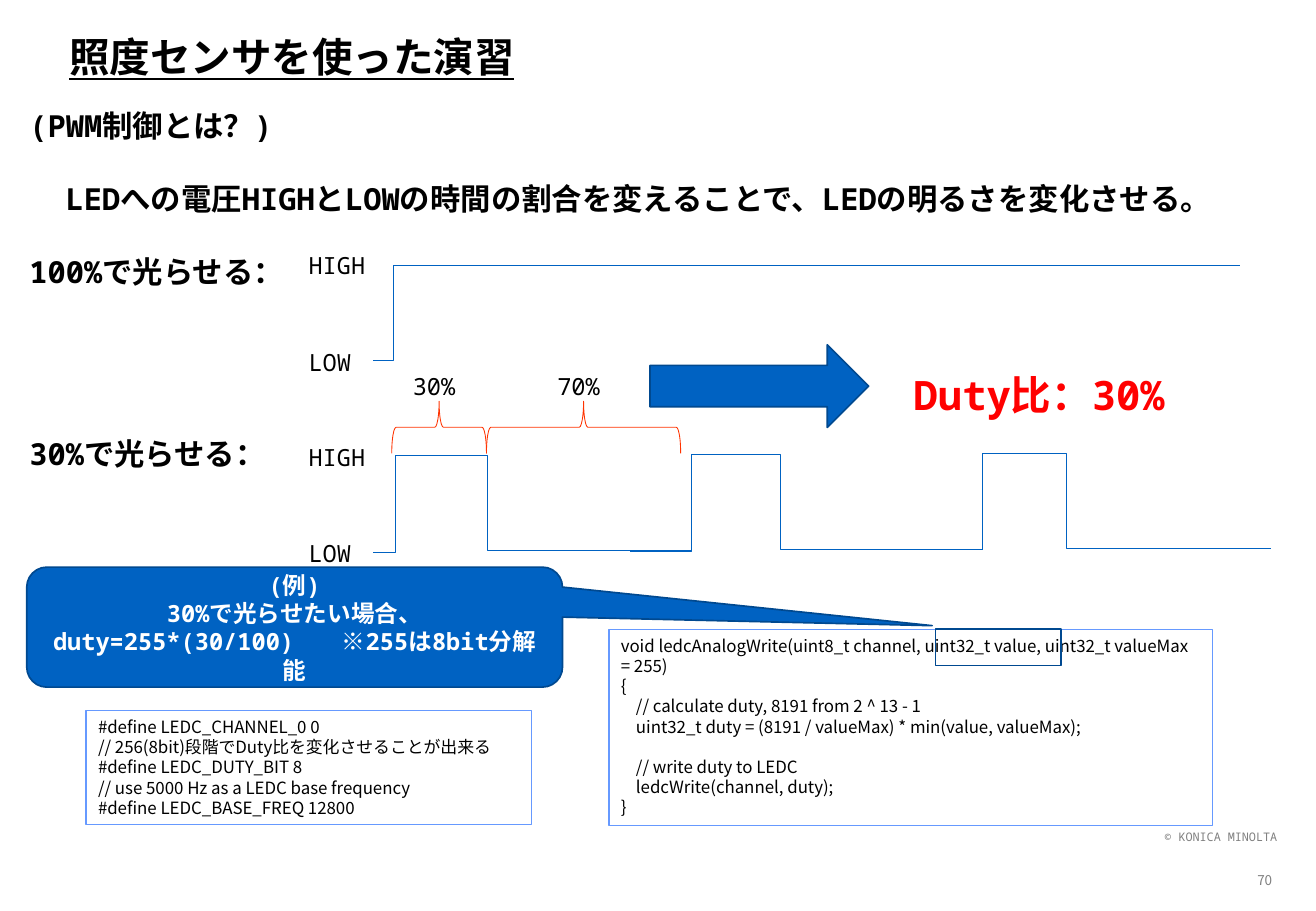
from lxml.etree import SubElement
from pptx import Presentation
from pptx.dml.color import RGBColor
from pptx.enum.shapes import MSO_CONNECTOR, MSO_SHAPE
from pptx.enum.text import MSO_ANCHOR, MSO_AUTO_SIZE, PP_ALIGN
from pptx.oxml.ns import qn
from pptx.util import Cm, Pt

BLACK = RGBColor(0x00, 0x00, 0x00)
WHITE = RGBColor(0xFF, 0xFF, 0xFF)
GREY = RGBColor(0x80, 0x80, 0x80)
RED = RGBColor(0xFF, 0x00, 0x00)
BRACE_RED = RGBColor(0xFF, 0x33, 0x00)
BLUE = RGBColor(0x00, 0x62, 0xC2)
DARK_BLUE = RGBColor(0x00, 0x49, 0x90)
FRAME_BLUE = RGBColor(0x66, 0x99, 0xFF)
MONO = "Noto Sans Mono"
SANS = "Noto Sans CJK JP"
LINE_FACTOR = 1.2


def write(holder, lines, size, color=BLACK, name=MONO, bold=False,
          align=PP_ALIGN.LEFT, anchor=MSO_ANCHOR.TOP, gaps=None):
    """Fill a shape with paragraphs; gaps maps a line index to empty lines before it."""
    frame = holder.text_frame
    frame.word_wrap = True
    frame.auto_size = MSO_AUTO_SIZE.NONE
    frame.vertical_anchor = anchor
    for index, line in enumerate(lines):
        paragraph = frame.paragraphs[0] if index == 0 else frame.add_paragraph()
        paragraph.add_run().text = line
        paragraph.alignment = align
        paragraph.line_spacing = Pt(size * LINE_FACTOR)
        paragraph.space_before = Pt((gaps or {}).get(index, 0) * size * LINE_FACTOR)
        properties = paragraph._p.get_or_add_pPr()
        properties.set("marL", "0")
        properties.set("indent", "0")
        SubElement(properties, qn("a:buNone"))
        font = paragraph.font
        font.size, font.bold, font.name = Pt(size), bold, name
        font.color.rgb = color
        SubElement(properties.find(qn("a:defRPr")), qn("a:ea"), typeface=SANS)
    return frame.paragraphs


def place(holder, left, top, width, height):
    holder.left, holder.top = Cm(left), Cm(top)
    holder.width, holder.height = Cm(width), Cm(height)


def label(slide, box, text, size=14, **style):
    holder = slide.shapes.add_textbox(*map(Cm, box))
    write(holder, [text], size, **style)


def outline(slide, kind, box, color, weight, fill=None):
    shape = slide.shapes.add_shape(kind, *map(Cm, box))
    shape.shadow.inherit = False
    shape.line.color.rgb = color
    shape.line.width = Pt(weight)
    if fill is None:
        shape.fill.background()
    else:
        shape.fill.solid()
        shape.fill.fore_color.rgb = fill
    return shape


def edge(slide, start, end, step_x):
    """Signal edge: an elbow line that changes level at step_x."""
    line = slide.shapes.add_connector(
        MSO_CONNECTOR.ELBOW, *map(Cm, start), *map(Cm, end))
    line.line.color.rgb = BLUE
    line.line.width = Pt(0.5)
    SubElement(line._element.spPr, qn("a:effectLst"))
    ratio = (step_x - start[0]) / (end[0] - start[0])
    guides = line._element.spPr.find(qn("a:prstGeom")).get_or_add_avLst()
    SubElement(guides, qn("a:gd"), name="adj1", fmla=f"val {round(ratio * 100000)}")


def heading(slide, box):
    title = slide.shapes.title
    place(title, *box)
    paragraph, = write(title, ["照度センサを使った演習"], 24, bold=True,
                       anchor=MSO_ANCHOR.MIDDLE)
    paragraph.font.underline = True


def explanation(slide, box):
    body = slide.placeholders[1]
    place(body, *box)
    lines = write(body, [
        "(PWM制御とは？)",
        "LEDへの電圧HIGHとLOWの時間の割合を変えることで、LEDの明るさを変化させる。",
        "100%で光らせる：",
        "30%で光らせる：",
    ], 18, bold=True, gaps={1: 1, 2: 1, 3: 4})
    lines[1]._p.pPr.set("marL", str(Cm(0.76)))


def level_labels(slide, left, top):
    for row, level in enumerate(("HIGH", "LOW")):
        label(slide, (left, top + row * 2.02, 2.24, 0.86), level)


def full_signal(slide, box):
    left, top, width, height = box
    level_labels(slide, left, top)
    edge(slide, (left + 1.6, top + height), (left + width, top + 0.43), left + 2.02)


def pulsed_signal(slide, box):
    left, top, width, height = box
    level_labels(slide, left, top)
    # (rise start, rise, rise end, fall start, fall, fall end)
    pulses = [
        (1.6, 2.06, 3.88, 2.28, 3.99, 8.25),
        (6.98, 8.25, 9.88, 8.4, 10.11, 14.35),
        (13.08, 14.35, 15.97, 14.4, 16.1, width),
    ]
    for index, pulse in enumerate(pulses):
        high, low = top + 0.4 - index * 0.02, top + height - index * 0.03
        rise_from, rise, rise_to, fall_from, fall, fall_to = (left + x for x in pulse)
        edge(slide, (rise_from, low), (rise_to, high), rise)
        edge(slide, (fall_from, high), (fall_to, low - 0.04), fall)


def duty_braces(slide, box):
    left, top, width, height = box
    brace_height = 1.09
    on_width = 1.98
    parts = [("30%", left, on_width), ("70%", left + on_width, width - on_width)]
    for share, part_left, part_width in parts:
        middle_x = part_left + part_width / 2
        middle_y = top + height - brace_height / 2
        brace = outline(slide, MSO_SHAPE.RIGHT_BRACE,
                        (middle_x - brace_height / 2, middle_y - part_width / 2,
                         brace_height, part_width), BRACE_RED, 0.5)
        brace.rotation = 270
        label(slide, (middle_x - 0.8, top, 2.24, 0.86), share)


def duty_result(slide, box):
    left, top, width, height = box
    outline(slide, MSO_SHAPE.RIGHT_ARROW, (left, top, 4.57, height), DARK_BLUE, 1, BLUE)
    label(slide, (left + 5.26, top + 0.41, width - 5.26, 1.27), "Duty比：30%", 24,
          color=RED, bold=True)


def code_box(slide, box, lines, gaps=None):
    frame = outline(slide, MSO_SHAPE.RECTANGLE, box, FRAME_BLUE, 0.75, WHITE)
    write(frame, lines, 10, name=SANS, gaps=gaps)


def example_callout(slide, box):
    callout = outline(slide, MSO_SHAPE.ROUNDED_RECTANGULAR_CALLOUT, box,
                      DARK_BLUE, 1, BLUE)
    for index, value in enumerate((1.19, -0.012, 0.167)):
        callout.adjustments[index] = value
    formula = write(callout, ["(例)", "30%で光らせたい場合、", "duty=255*(30/100)"], 14,
                    color=WHITE, bold=True, align=PP_ALIGN.CENTER,
                    anchor=MSO_ANCHOR.MIDDLE)[-1]
    # One widened space separates the formula from its remark
    gap = formula.add_run()
    gap.text = "　"
    gap._r.get_or_add_rPr().set("spc", "1400")
    formula.add_run().text = "※255は8bit分解能"


def footer(slide, box):
    left, top, width, height = box
    label(slide, (left, top, width, 0.56), "© KONICA MINOLTA", 7, color=GREY,
          align=PP_ALIGN.RIGHT)
    label(slide, (left + 4.06, top + 0.76, 1.02, height - 0.76), "70", 8, color=GREY,
          name=SANS, align=PP_ALIGN.CENTER, anchor=MSO_ANCHOR.MIDDLE)


def main():
    deck = Presentation()
    deck.slide_width, deck.slide_height = Cm(27.51), Cm(19.05)
    slide = deck.slides.add_slide(deck.slide_layouts[1])

    # Title and text
    footer(slide, (21.87, 17.22, 5.08, 1.6))
    heading(slide, (1.19, 0.53, 20.47, 1.3))
    explanation(slide, (0.36, 2.11, 27.15, 16.9))

    # Signals
    full_signal(slide, (6.2, 5.13, 19.73, 2.41))
    pulsed_signal(slide, (6.2, 9.13, 20.37, 2.43))
    duty_braces(slide, (8.19, 7.65, 6.04, 1.83))

    # Code
    code_box(slide, (1.8, 14.86, 9.32, 2.39), [
        "#define LEDC_CHANNEL_0 0",
        "// 256(8bit)段階でDuty比を変化させることが出来る",
        "#define LEDC_DUTY_BIT 8",
        "// use 5000 Hz as a LEDC base frequency",
        "#define LEDC_BASE_FREQ 12800",
    ])
    code_box(slide, (12.73, 13.16, 12.62, 4.11), [
        "void ledcAnalogWrite(uint8_t channel, uint32_t value, uint32_t valueMax = 255)",
        "{",
        "    // calculate duty, 8191 from 2 ^ 13 - 1",
        "    uint32_t duty = (8191 / valueMax) * min(value, valueMax);",
        "    // write duty to LEDC",
        "    ledcWrite(channel, duty);",
        "}",
    ], gaps={4: 1})

    # Example pointing at the value argument, and the resulting duty
    example_callout(slide, (0.56, 11.86, 11.2, 2.51))
    outline(slide, MSO_SHAPE.RECTANGLE, (19.56, 13.16, 2.62, 0.76), DARK_BLUE, 1)
    duty_result(slide, (13.59, 7.21, 11.73, 1.73))

    deck.save("out.pptx")


if __name__ == "__main__":
    main()
